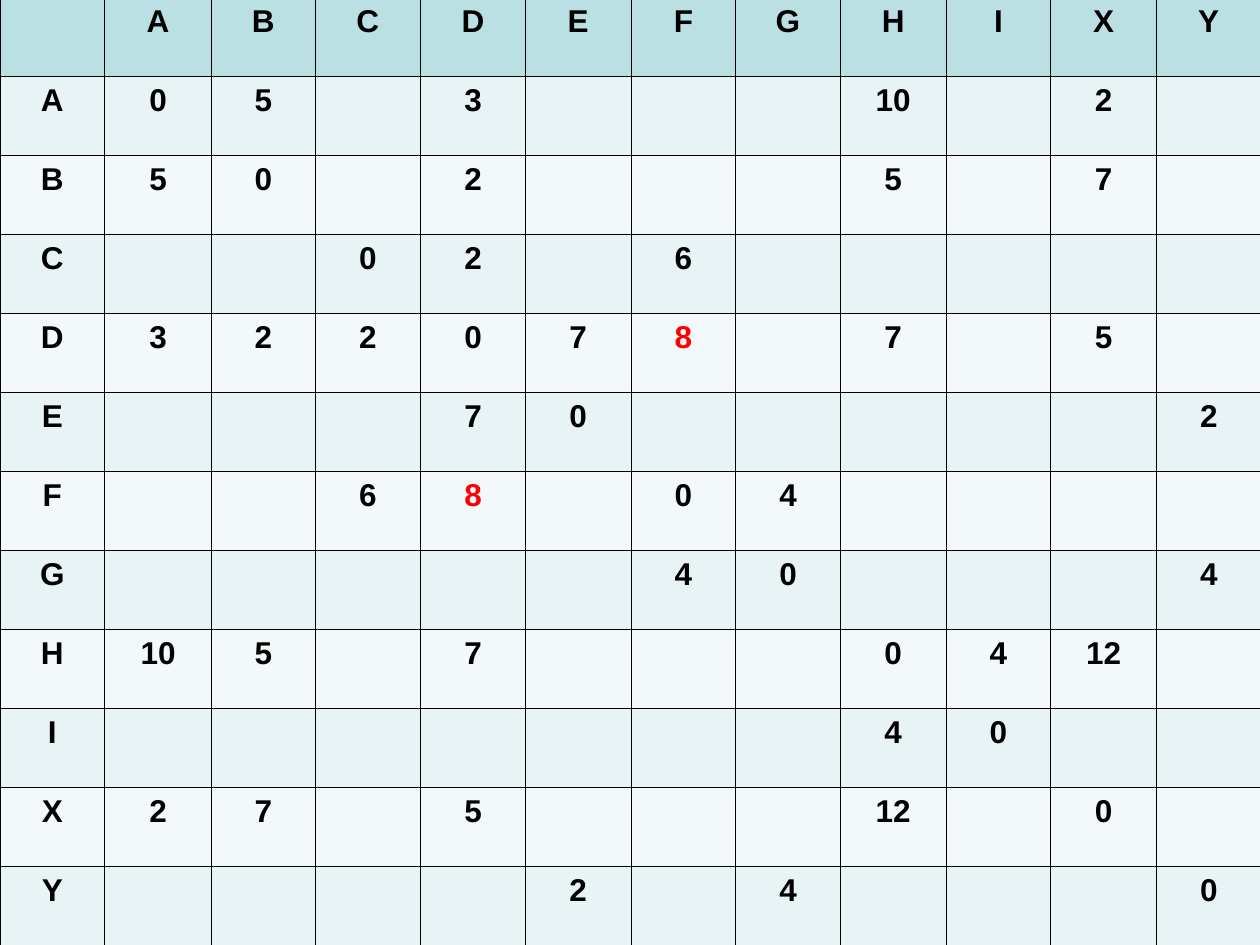
import lxml.etree
import pptx
import pptx.dml.color
import pptx.enum.text
import pptx.oxml.ns
import pptx.util

COLORS = {
    "header": "BBE0E3",
    "odd_row": "E7F3F4",
    "even_row": "F3F9FA",
    "text": "000000",
    "highlight": "FF0000",
    "border": "000000",
}
BORDER_WIDTH = pptx.util.Pt(0.45)
TAB_STOPS = 8

# Weighted links between nodes; the distance matrix is symmetric
nodes = "ABCDEFGHIXY"
links = {
    "AB": 5, "AD": 3, "AH": 10, "AX": 2, "BD": 2, "BH": 5,
    "BX": 7, "CD": 2, "CF": 6, "DE": 7, "DF": 8, "DH": 7,
    "DX": 5, "EY": 2, "FG": 4, "GY": 4, "HI": 4, "HX": 12,
}
highlighted_link = "DF"
column_widths = [0.83, 0.85, 0.82, 0.84, 0.83, 0.84,
                 0.83, 0.83, 0.84, 0.83, 0.84, 0.83]


def rgb(name):
    return pptx.dml.color.RGBColor.from_string(COLORS[name])


def add_borders(cell):
    """Draw a thin line on all four sides, placed ahead of the cell's fill."""
    properties = cell._tc.get_or_add_tcPr()
    for position, side in enumerate(("lnL", "lnR", "lnT", "lnB")):
        line = lxml.etree.Element(pptx.oxml.ns.qn(f"a:{side}"), w=str(BORDER_WIDTH))
        solid = lxml.etree.SubElement(line, pptx.oxml.ns.qn("a:solidFill"))
        lxml.etree.SubElement(solid, pptx.oxml.ns.qn("a:srgbClr"), val=COLORS["border"])
        properties.insert(position, line)


presentation = pptx.Presentation()
presentation.slide_width = pptx.util.Inches(10)
presentation.slide_height = pptx.util.Inches(7.5)
slide = presentation.slides.add_slide(presentation.slide_layouts[6])

# Distance matrix covering the whole slide
size = len(nodes) + 1
distances = slide.shapes.add_table(
    size, size, 0, pptx.util.Inches(-0.02),
    pptx.util.Inches(sum(column_widths)), pptx.util.Inches(7.53),
).table
for column, width in zip(distances.columns, column_widths):
    column.width = pptx.util.Inches(width)

labels = " " + nodes
for row, origin in enumerate(labels):
    band = "header" if row == 0 else "odd_row" if row % 2 else "even_row"
    for col, target in enumerate(labels):
        cell = distances.cell(row, col)
        cell.fill.solid()
        cell.fill.fore_color.rgb = rgb(band)
        add_borders(cell)

        # Node names along the edges, zeros on the diagonal, link weights elsewhere
        link = "".join(sorted(origin + target))
        if row == 0 or col == 0:
            value = link.strip()
        elif row == col:
            value = "0"
        else:
            value = str(links.get(link, ""))
        if not value:
            continue

        paragraph = cell.text_frame.paragraphs[0]
        paragraph.text = value
        paragraph.alignment = pptx.enum.text.PP_ALIGN.CENTER
        tabs = lxml.etree.SubElement(
            paragraph._p.get_or_add_pPr(), pptx.oxml.ns.qn("a:tabLst"))
        for inch in range(TAB_STOPS):
            lxml.etree.SubElement(tabs, pptx.oxml.ns.qn("a:tab"),
                                  pos=str(pptx.util.Inches(inch)), algn="l")
        font = paragraph.runs[0].font
        font.name = "Arial"
        font.size = pptx.util.Pt(18)
        font.bold = True
        font.color.rgb = rgb("highlight" if link == highlighted_link else "text")

presentation.save("out.pptx")
